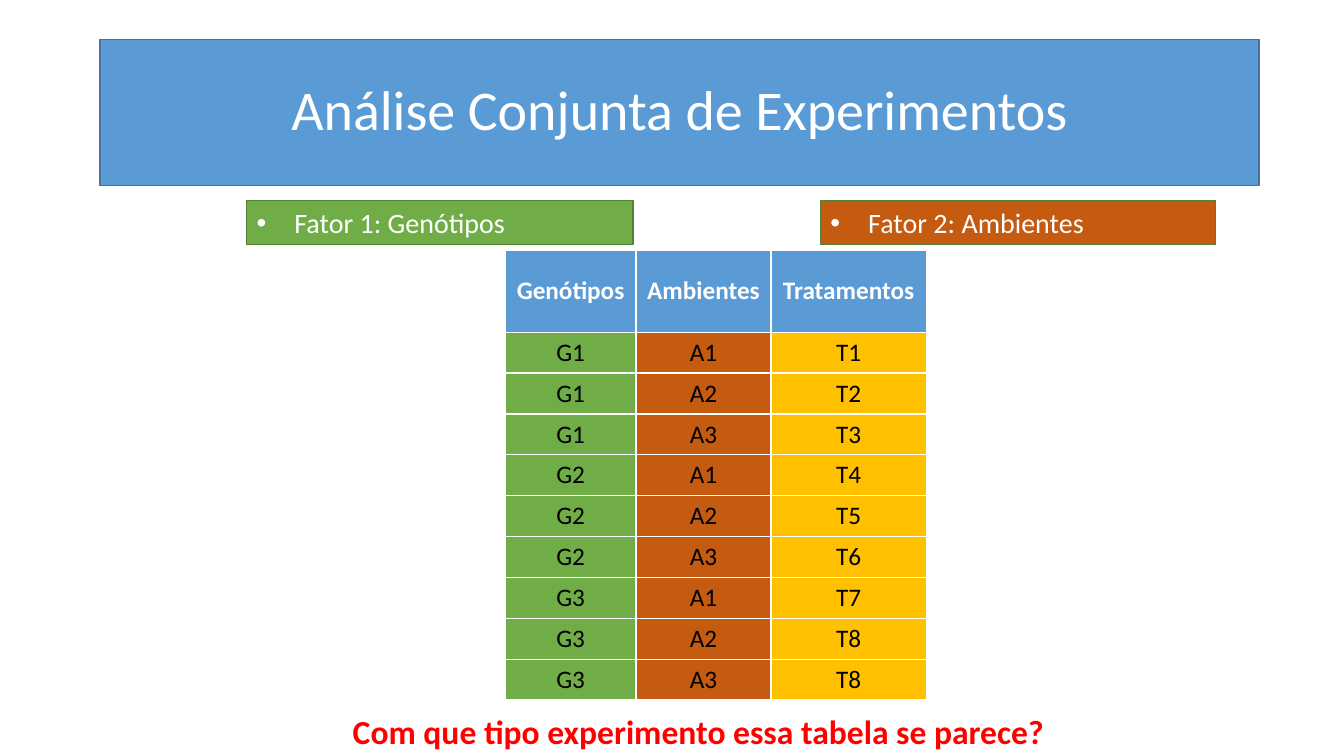
from lxml.etree import SubElement as Sub
from pptx import Presentation
from pptx.dml.color import RGBColor as Rgb
from pptx.enum.shapes import MSO_SHAPE as Kind
from pptx.enum.text import MSO_ANCHOR as Anchor, PP_ALIGN as Align
from pptx.oxml.ns import qn
from pptx.util import Cm, Pt

HUES = {"blue": "5B9BD5", "navy": "43739E", "green": "70AD47", "moss": "538035",
        "rust": "C55A11", "gold": "FFC000", "red": "FF0000",
        "white": "FFFFFF", "black": "000000"}
TITLE = "Análise Conjunta de Experimentos"
ASK = "Com que tipo experimento essa tabela se parece?"
TAGS = [("Fator 1: Genótipos", "green", 6.22, 9.73),
        ("Fator 2: Ambientes", "rust", 20.68, 9.96)]
HEADS = ["Genótipos", "Ambientes", "Tratamentos"]
TINTS = ["green", "rust", "gold"]
WIDTHS = [3.3, 3.4, 3.91]
TREATS = ["T1", "T2", "T3", "T4", "T5", "T6", "T7", "T8", "T8"]
ROWS = [(f"G{i // 3 + 1}", f"A{i % 3 + 1}", name) for i, name in enumerate(TREATS)]
HEAD, STEP = 2.06, 1.03


def hue(name):
    return Rgb.from_string(HUES[name])


def apply(item, look):
    for key, value in look.items():
        setattr(item, key, value)


def place(shape, *box):
    apply(shape, dict(zip(("left", "top", "width", "height"), map(Cm, box))))


def paint(shape, fill, edge):
    shape.fill.solid()
    shape.fill.fore_color.rgb = hue(fill)
    shape.line.color.rgb = hue(edge)
    shape.line.width = Pt(1)


def write(frame, text, size, color, bold=False, align=Align.LEFT):
    frame.text = text
    para = frame.paragraphs[0]
    para.alignment = align
    font = para.runs[0].font
    apply(font, {"name": "Calibri", "size": Pt(size), "bold": bold})
    font.color.rgb = hue(color)
    return para


def bullet(para):
    props = para._p.get_or_add_pPr()
    props.set("marL", str(Cm(0.95)))
    props.set("indent", str(-Cm(0.95)))
    Sub(props, qn("a:buFont"), typeface="Arial")
    Sub(props, qn("a:buChar"), char="•")


def main():
    deck = Presentation()
    apply(deck, {"slide_width": Cm(33.87), "slide_height": Cm(19.05)})
    slide = deck.slides.add_slide(deck.slide_layouts[5])
    shapes = slide.shapes

    title = shapes.title
    place(title, 2.52, 1, 29.21, 3.68)
    paint(title, "blue", "navy")
    write(title.text_frame, TITLE, 40, "white", align=Align.CENTER).line_spacing = 0.9
    title.text_frame.vertical_anchor = Anchor.MIDDLE

    for text, fill, left, width in TAGS:
        tag = shapes.add_shape(Kind.RECTANGLE, Cm(left), Cm(5.06), Cm(width), Cm(1.11))
        tag.shadow.inherit = False
        paint(tag, fill, "moss")
        tag.text_frame.vertical_anchor = Anchor.TOP
        bullet(write(tag.text_frame, text, 20, "white"))

    table = shapes.add_table(len(ROWS) + 1, len(HEADS), Cm(12.73), Cm(6.31),
                             Cm(sum(WIDTHS)), Cm(HEAD + STEP * len(ROWS))).table
    for col, width in zip(table.columns, WIDTHS):
        col.width = Cm(width)
    for y, row in enumerate([HEADS, *ROWS]):
        top = y == 0
        table.rows[y].height = Cm(HEAD if top else STEP)
        for x, text in enumerate(row):
            cell = table.cell(y, x)
            apply(cell, {"vertical_anchor": Anchor.MIDDLE,
                         "margin_left": Cm(0.15), "margin_right": Cm(0.15),
                         "margin_top": Cm(0.1), "margin_bottom": Cm(0.1)})
            cell.fill.solid()
            cell.fill.fore_color.rgb = hue("blue" if top else TINTS[x])
            write(cell.text_frame, text, 18, "white" if top else "black", top, Align.CENTER)

    box = shapes.add_textbox(Cm(8.64), Cm(17.78), Cm(18.11), Cm(1.27))
    write(box.text_frame, ASK, 24, "red", True)
    box.text_frame.word_wrap = False

    deck.save("out.pptx")


if __name__ == "__main__":
    main()
